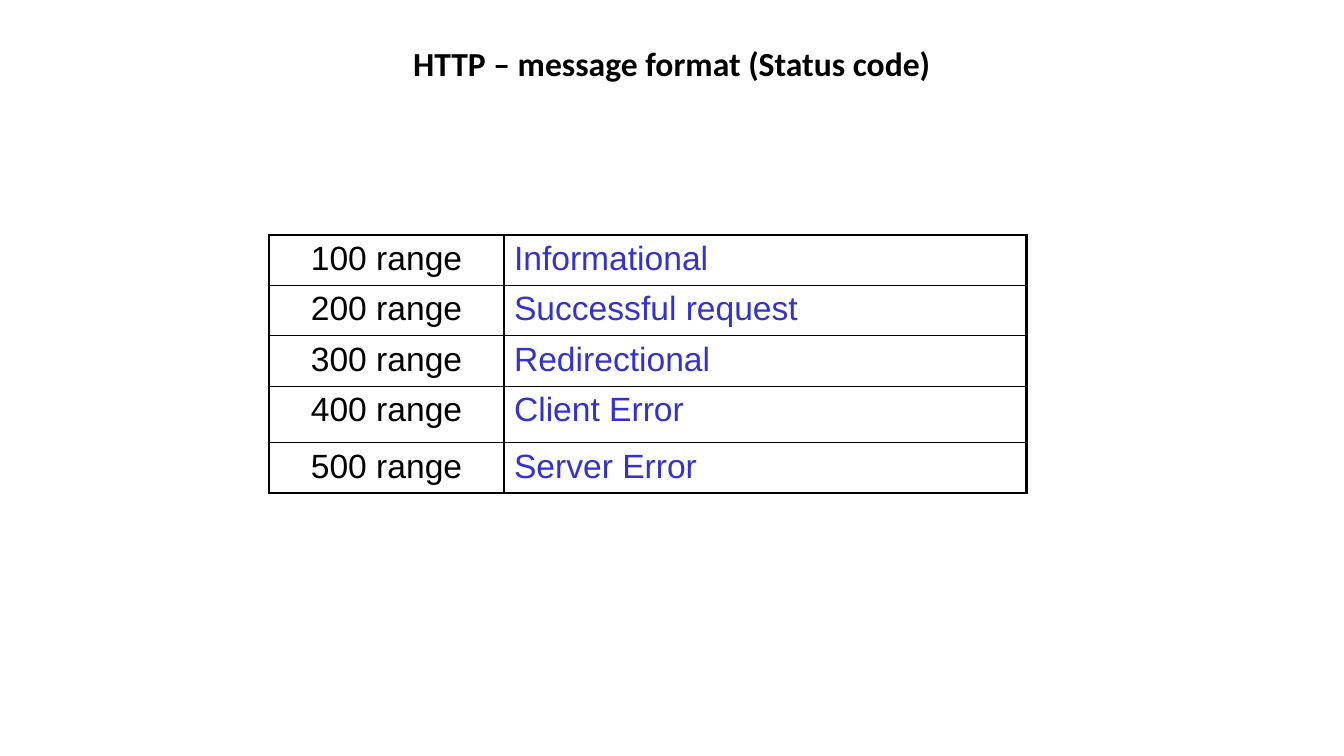
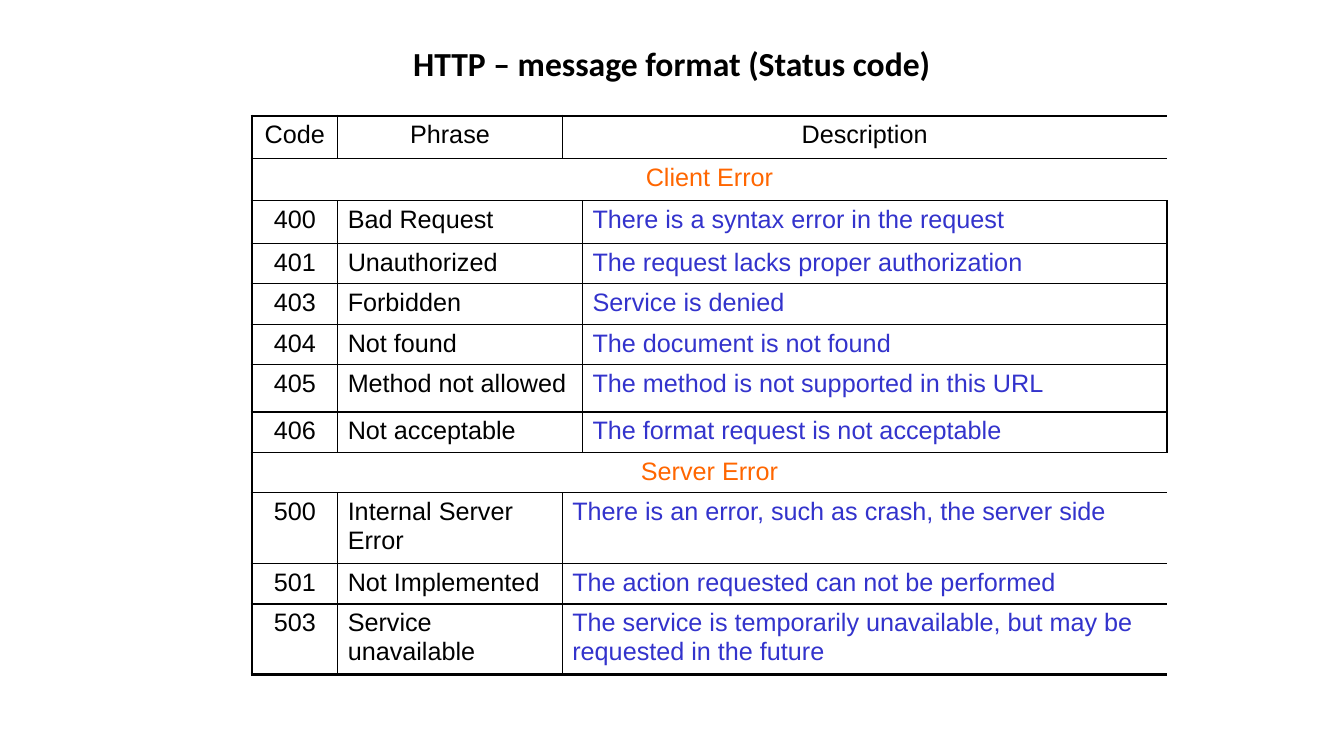
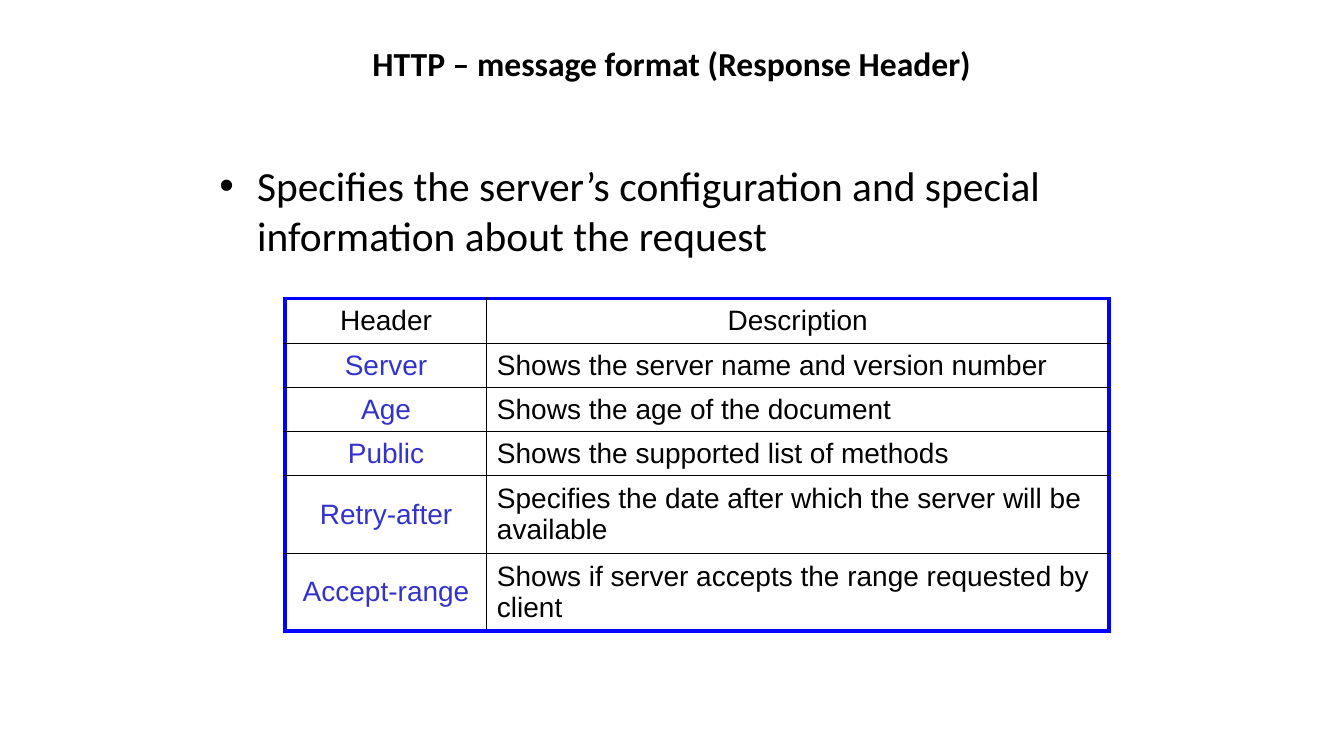
from lxml.etree import SubElement
from pptx import Presentation
from pptx.dml.color import RGBColor
from pptx.enum.text import MSO_ANCHOR as Anchor, PP_ALIGN as Align
from pptx.oxml.ns import qn
from pptx.util import Cm, Pt

COLOURS = {"black": "000000", "blue": "3333CC", "orange": "FF6600", "frame": "0000FF"}
TITLE_BOX = (5.5, 0, 22.86, 3.18)
TITLE_FORMAT = {"name": "Calibri", "size": Pt(24), "bold": True}
BULLET_BOX = (5.28, 3.91, 24.33, 2.34)
BULLET_FORMAT = {"name": "Calibri", "size": Pt(29.6)}
BULLET_INDENT = 0.95
INNER_WIDTH = 1

# Each row kind lists its cells as (columns spanned, alignment, colour).
CENTRED = (1, Align.CENTER, "black")
PLAIN = (1, Align.LEFT, "black")
TERM = (1, Align.CENTER, "blue")
MEANING = (1, Align.LEFT, "blue")
ROW_KINDS = {
    "range": [CENTRED, MEANING],
    "code header": [CENTRED, CENTRED, (2, Align.CENTER, "black")],
    "section": [(4, Align.CENTER, "orange")],
    "client": [CENTRED, (2, Align.LEFT, "black"), MEANING],
    "server": [CENTRED, PLAIN, (2, Align.LEFT, "blue")],
    "field header": [CENTRED, CENTRED],
    "field": [TERM, PLAIN],
}

# Rows are (kind, height in cm, cell texts).
SLIDES = [
    {
        "title": "HTTP – message format (Status code)",
        "table": {
            "at": (6.78, 5.92), "columns": [5.92, 13.16], "size": 24,
            "anchor": Anchor.TOP, "frame": ("black", 2.25),
            "rows": [
                ("range", 1.19, ["100 range", "Informational"]),
                ("range", 1.19, ["200 range", "Successful request"]),
                ("range", 1.19, ["300 range", "Redirectional"]),
                ("range", 1.42, ["400 range", "Client Error"]),
                ("range", 1.19, ["500 range", "Server Error"]),
            ],
        },
    },
    {
        "title": "HTTP – message format (Status code)",
        "table": {
            "at": (6.35, 2.92), "columns": [2.16, 5.66, 0.51, 14.73], "size": 18,
            "anchor": Anchor.TOP, "frame": ("black", 2.25),
            "rows": [
                ("code header", 1.07, ["Code", "Phrase", "Description"]),
                ("section", 1.07, ["Client Error"]),
                ("client", 1.07, ["400", "Bad Request", "There is a syntax error in the request"]),
                ("client", 1.02, ["401", "Unauthorized", "The request lacks proper authorization"]),
                ("client", 1.02, ["403", "Forbidden", "Service is denied"]),
                ("client", 1.02, ["404", "Not found", "The document is not found"]),
                ("client", 1.19, ["405", "Method not allowed",
                                  "The method is not supported in this URL"]),
                ("client", 1.02, ["406", "Not acceptable", "The format request is not acceptable"]),
                ("section", 1.02, ["Server Error"]),
                ("server", 1.78, ["500", "Internal Server Error",
                                  "There is an error, such as crash, the server side"]),
                ("server", 1.02, ["501", "Not Implemented",
                                  "The action requested can not be performed"]),
                ("server", 1.78, ["503", "Service unavailable",
                                  "The service is temporarily unavailable, but may be "
                                  "requested in the future"]),
            ],
        },
    },
    {
        "title": "HTTP – message format (Response Header)",
        "bullet": "Specifies the server’s configuration and special information about the request",
        "table": {
            "at": (7.19, 7.52), "columns": [5.08, 15.67], "size": 20,
            "anchor": Anchor.MIDDLE, "frame": ("frame", 3),
            "rows": [
                ("field header", 1.14, ["Header", "Description"]),
                ("field", 1.09, ["Server", "Shows the server name and version number"]),
                ("field", 1.12, ["Age", "Shows the age of the document"]),
                ("field", 1.09, ["Public", "Shows the supported list of methods"]),
                ("field", 1.96, ["Retry-after",
                                 "Specifies the date after which the server will be available"]),
                ("field", 1.96, ["Accept-range",
                                 "Shows if server accepts the range requested by client"]),
            ],
        },
    },
]


def write(paragraph, text, formats, colour="black"):
    paragraph.text = text
    for attribute, value in formats.items():
        setattr(paragraph.font, attribute, value)
    paragraph.font.color.rgb = RGBColor.from_string(COLOURS[colour])


def add_text_frame(slide, box):
    frame = slide.shapes.add_textbox(*map(Cm, box)).text_frame
    frame.word_wrap = True
    return frame


def add_title(slide, title):
    frame = add_text_frame(slide, TITLE_BOX)
    frame.vertical_anchor = Anchor.MIDDLE
    frame.paragraphs[0].alignment = Align.CENTER
    write(frame.paragraphs[0], title, TITLE_FORMAT)


def add_bullet(slide, text):
    paragraph = add_text_frame(slide, BULLET_BOX).paragraphs[0]
    properties = paragraph._p.get_or_add_pPr()
    properties.set("marL", str(Cm(BULLET_INDENT)))
    properties.set("indent", str(-Cm(BULLET_INDENT)))
    SubElement(properties, qn("a:buFont"), typeface="Arial")
    SubElement(properties, qn("a:buChar"), char="•")
    write(paragraph, text, BULLET_FORMAT)


def set_borders(cell, borders):
    """Draw each side as (colour, width), or leave it open where it is None."""
    properties = cell._tc.get_or_add_tcPr()
    for side in "LRTB":
        line = SubElement(properties, qn(f"a:ln{side}"))
        if borders[side] is None:
            SubElement(line, qn("a:noFill"))
            continue
        colour, width = borders[side]
        line.set("w", str(Pt(width)))
        fill = SubElement(line, qn("a:solidFill"))
        SubElement(fill, qn("a:srgbClr"), val=COLOURS[colour])


def add_table(slide, spec):
    rows, widths = spec["rows"], spec["columns"]
    heights = [height for _, height, _ in rows]
    table = slide.shapes.add_table(len(rows), len(widths), *map(Cm, spec["at"]),
                                   Cm(sum(widths)), Cm(sum(heights))).table
    table.first_row = table.horz_banding = False
    for column, width in zip(table.columns, widths):
        column.width = Cm(width)
    for row, height in zip(table.rows, heights):
        row.height = Cm(height)

    outer, inner = spec["frame"], ("black", INNER_WIDTH)
    formats = {"name": "Arial", "size": Pt(spec["size"])}
    for r, (kind, _, texts) in enumerate(rows):
        start = 0
        for text, (span, alignment, colour) in zip(texts, ROW_KINDS[kind]):
            end = start + span
            for c in range(start, end):
                cell = table.cell(r, c)
                set_borders(cell, {
                    "L": outer if c == 0 else inner if c == start else None,
                    "R": outer if c == len(widths) - 1 else inner if c == end - 1 else None,
                    "T": outer if r == 0 else inner,
                    "B": outer if r == len(rows) - 1 else inner,
                })
                cell.fill.background()
            first = table.cell(r, start)
            if span > 1:
                first.merge(table.cell(r, end - 1))
            first.vertical_anchor = spec["anchor"]
            paragraph = first.text_frame.paragraphs[0]
            paragraph.alignment = alignment
            write(paragraph, text, formats, colour)
            start = end


def main():
    deck = Presentation()
    deck.slide_width, deck.slide_height = Cm(33.87), Cm(19.05)
    for content in SLIDES:
        slide = deck.slides.add_slide(deck.slide_layouts[6])
        add_title(slide, content["title"])
        if "bullet" in content:
            add_bullet(slide, content["bullet"])
        add_table(slide, content["table"])
    deck.save("out.pptx")


if __name__ == "__main__":
    main()
